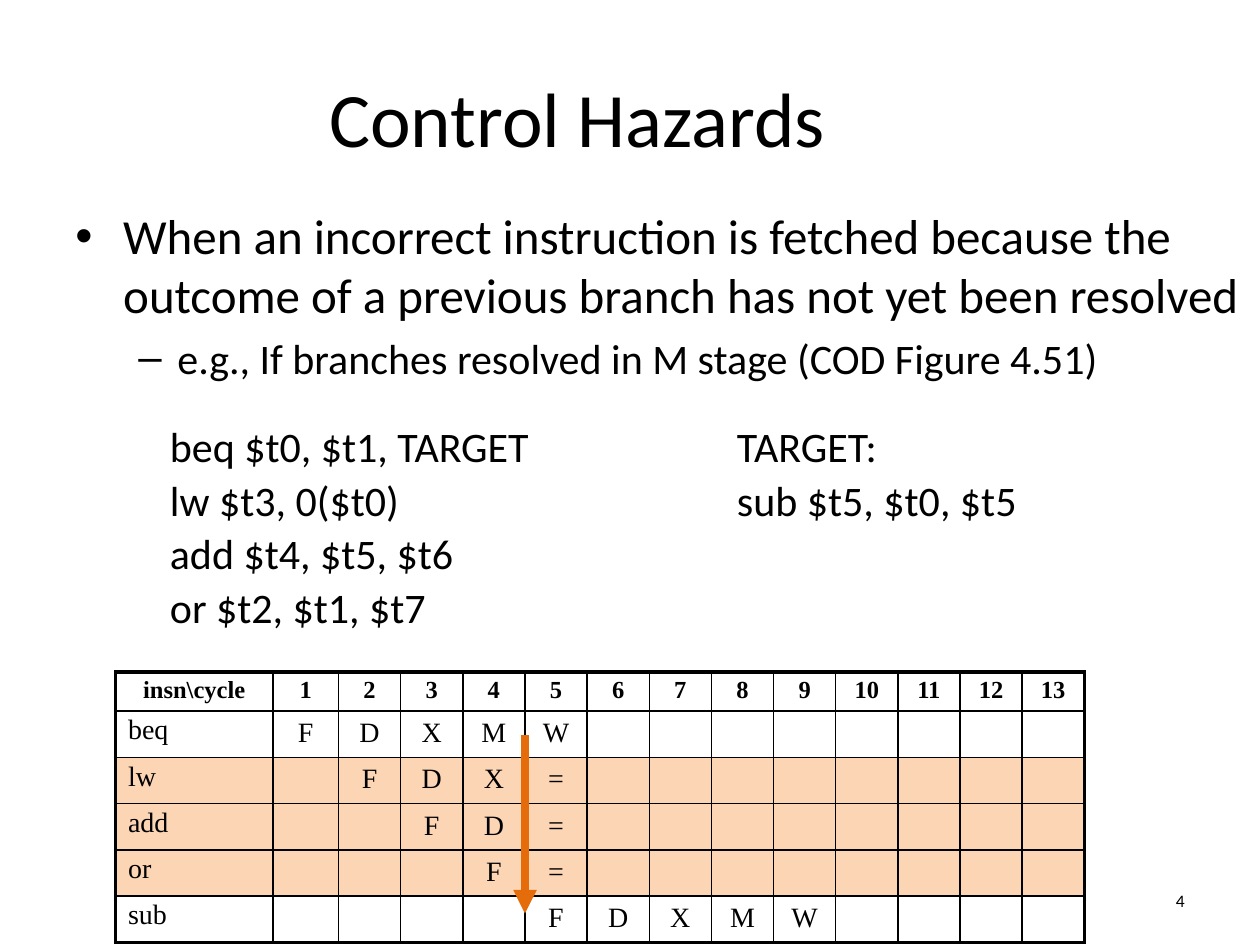
from lxml import etree
from pptx import Presentation
from pptx import util as u
from pptx.dml.color import RGBColor
from pptx.enum import shapes, text
from pptx.oxml.ns import qn

deck = Presentation()
deck.slide_width, deck.slide_height = u.Inches(10), u.Inches(7.5)
slide = deck.slides.add_slide(deck.slide_layouts[5])
UNIT = deck.slide_width / 120  # square grid: 120 columns by 90 rows


def grid(*cells):
    """Turn grid columns and rows into lengths."""
    return [round(n * UNIT) for n in cells]


def write(paragraph, words, size, font="Calibri", bold=False):
    run = paragraph.add_run()
    run.text = words
    run.font.size, run.font.name, run.font.bold = u.Pt(size), font, bold
    run.font.color.rgb = RGBColor.from_string("000000")


# Title
title = slide.shapes.title
title.left, title.top, title.width, title.height = grid(6, 3.6, 98, 15)
title.text_frame.vertical_anchor = text.MSO_ANCHOR.MIDDLE
heading = title.text_frame.paragraphs[0]
heading.alignment = text.PP_ALIGN.CENTER
write(heading, "Control Hazards", 44)

# Definition and example
definition = slide.shapes.add_textbox(*grid(6, 19, 114, 24)).text_frame
definition.word_wrap = True
points = [
    ("When an incorrect instruction is fetched because the outcome of a previous "
     "branch has not yet been resolved", 28, "•", 0.38, 0.38),
    ("e.g., If branches resolved in M stage (COD Figure 4.51)", 24, "–", 0.81, 0.31),
]
for level, (words, size, bullet, indent, hanging) in enumerate(points):
    point = definition.add_paragraph() if level else definition.paragraphs[0]
    point.level = level
    props = point._p.get_or_add_pPr()
    props.set("marL", str(u.Inches(indent)))
    props.set("indent", str(-u.Inches(hanging)))
    etree.SubElement(props, qn("a:buFont"), typeface="Arial")
    etree.SubElement(props, qn("a:buChar"), char=bullet)
    if level:
        point.space_before = u.Pt(5)
    write(point, words, size)

# Code: fall-through path and branch target
listings = [
    (9, 88, ["beq $t0, $t1, TARGET", "lw $t3, 0($t0)", "add $t4, $t5, $t6", "or $t2, $t1, $t7"]),
    (63, 51, ["TARGET:", "sub $t5, $t0, $t5"]),
]
for left, width, instructions in listings:
    code = slide.shapes.add_textbox(*grid(left, 40, width, 22)).text_frame
    code.word_wrap = True
    for i, instruction in enumerate(instructions):
        line = code.add_paragraph() if i else code.paragraphs[0]
        line._p.get_or_add_pPr().set("marL", str(u.Inches(0.5)))
        line.line_spacing = 0.9
        if i:
            line.space_before = u.Pt(4.8)
        write(line, instruction, 24)

# Pipeline diagram: instruction, cycle of first stage, stages, flushed or not
CYCLES = 13
pipeline = [
    ("beq", 1, "FDXMW", False),
    ("lw", 2, "FDX=", True),
    ("add", 3, "FD=", True),
    ("or", 4, "F=", True),
    ("sub", 5, "FDXMW", False),
]
rows = [["insn\\cycle"] + [str(c + 1) for c in range(CYCLES)]]
for name, start, stages, _ in pipeline:
    rows.append([name] + list((" " * (start - 1) + stages).ljust(CYCLES)))
flushed = [False] + [entry[3] for entry in pipeline]

timing = slide.shapes.add_table(len(rows), CYCLES + 1, *grid(11, 64, 92.3, 24.1)).table
timing.first_row = timing.horz_banding = False
for column, width in zip(timing.columns, grid(15, 6.24, *[5.92] * (CYCLES - 1))):
    column.width = width
for row, height in zip(timing.rows, grid(3.5, *[4.14] * len(pipeline))):
    row.height = height

for r, entries in enumerate(rows):
    for c, entry in enumerate(entries):
        cell = timing.cell(r, c)
        if flushed[r]:
            cell.fill.solid()
            cell.fill.fore_color.rgb = RGBColor.from_string("FCD5B5")
        else:
            cell.fill.background()
        size = 16 if r else 14
        label = cell.text_frame.paragraphs[0]
        label.line_spacing = 0.9
        if r == 0 or c > 0:
            label.alignment = text.PP_ALIGN.CENTER
            cell.vertical_anchor = text.MSO_ANCHOR.MIDDLE
        if entry.strip():
            write(label, entry, size, "Times New Roman", bold=r == 0)
        else:
            etree.SubElement(label._p, qn("a:endParaRPr"), sz=str(size * 100))
        outer = {"L": c == 0, "R": c == CYCLES, "T": r == 0, "B": r == len(rows) - 1}
        for i, (side, thick) in enumerate(outer.items()):
            border = etree.Element(qn(f"a:ln{side}"), w=str(u.Pt(2.25 if thick else 1)))
            ink = etree.SubElement(border, qn("a:solidFill"))
            etree.SubElement(ink, qn("a:srgbClr"), val="000000")
            cell._tc.get_or_add_tcPr().insert(i, border)

# Branch resolved at the end of M: fetch moves to the target
redirect = slide.shapes.add_connector(shapes.MSO_CONNECTOR.STRAIGHT, *grid(50, 70, 50, 87))
redirect.line.width = u.Pt(4.5)
redirect.line.color.rgb = RGBColor.from_string("E46C0A")
etree.SubElement(redirect.line._get_or_add_ln(), qn("a:tailEnd"), type="triangle")
etree.SubElement(redirect._element.spPr, qn("a:effectLst"))

# Page number
footer = slide.shapes.add_textbox(*grid(100, 83.4, 14, 4.8)).text_frame
footer.word_wrap = True
footer.vertical_anchor = text.MSO_ANCHOR.MIDDLE
footer.paragraphs[0].alignment = text.PP_ALIGN.RIGHT
write(footer.paragraphs[0], "4", 10)

deck.save("out.pptx")
